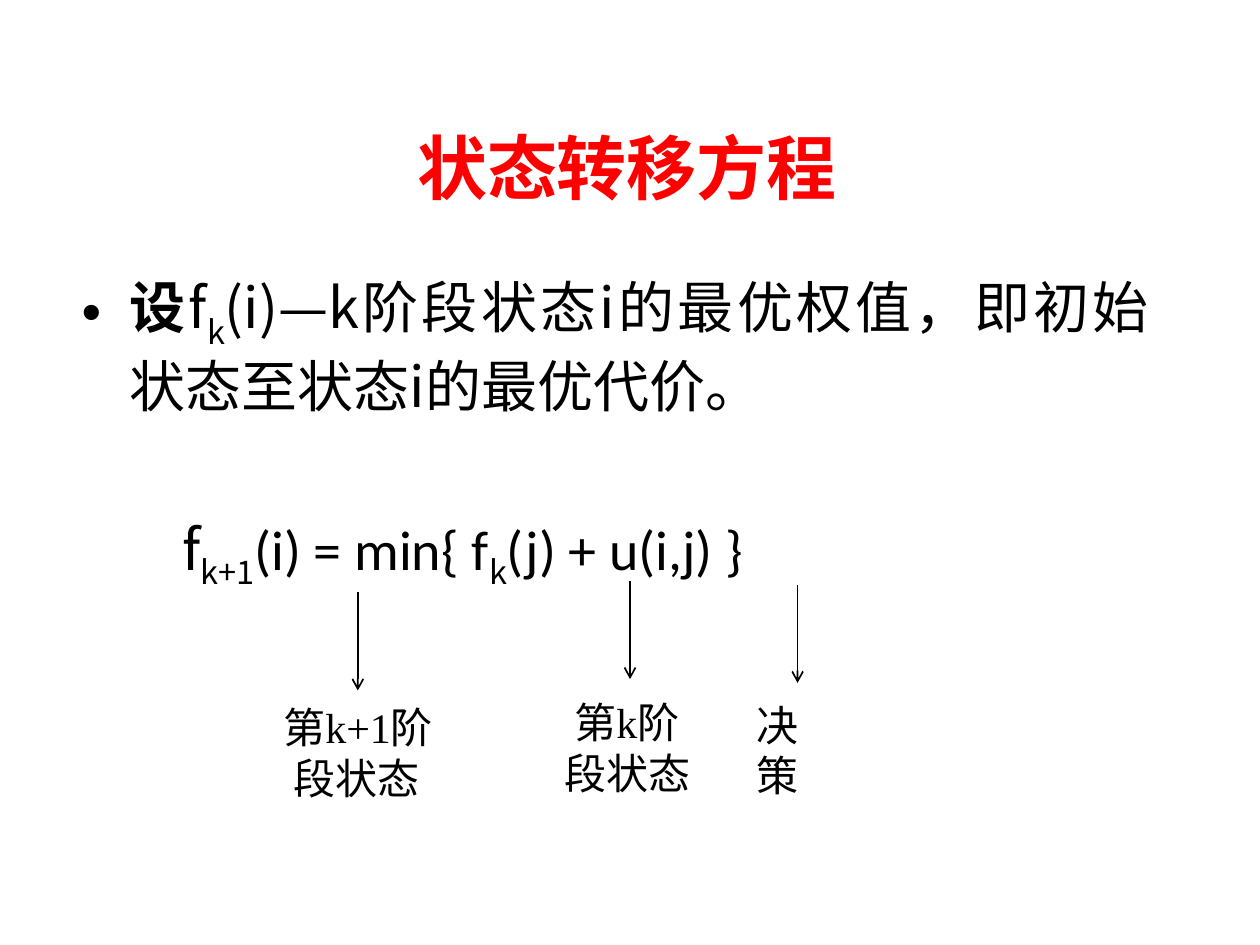
from lxml import etree
from pptx import Presentation
from pptx.dml.color import RGBColor
from pptx.enum.shapes import MSO_CONNECTOR
from pptx.enum.text import MSO_ANCHOR, PP_ALIGN
from pptx.oxml.ns import qn
from pptx.util import Inches, Pt

STRAIGHT = MSO_CONNECTOR.STRAIGHT
MIDDLE = MSO_ANCHOR.MIDDLE
LEFT, CENTER, JUSTIFY = PP_ALIGN.LEFT, PP_ALIGN.CENTER, PP_ALIGN.JUSTIFY
TITLE_ONLY = 5

COLORS = {"title": "FF0000", "ink": "000000"}
LATIN, CJK, SERIF = "Calibri", "Noto Sans CJK SC", "Times New Roman"


def write(paragraph, runs, size, font, color="ink", align=LEFT, before=0,
          margin=0, indent=0, bullet=None):
    """Fill a paragraph with runs of (text, overrides: font, bold, base)."""
    paragraph.alignment = align
    paragraph.space_before = Pt(before)
    props = paragraph._p.get_or_add_pPr()
    props.set("marL", str(Inches(margin)))
    props.set("indent", str(Inches(indent)))
    if bullet:
        etree.SubElement(props, qn("a:buFont")).set("typeface", "Arial")
        etree.SubElement(props, qn("a:buChar")).set("char", bullet)
    for text, look in runs:
        run = paragraph.add_run()
        run.text = text
        run.font.size = Pt(size)
        run.font.name = look.get("font", font)
        run.font.bold = look.get("bold", False)
        run.font.color.rgb = RGBColor.from_string(COLORS[color])
        if "base" in look:
            run.font._element.set("baseline", str(look["base"] * 1000))


def add_title(slide, left, top, width, height):
    title = slide.shapes.title
    title.left, title.top = Inches(left), Inches(top)
    title.width, title.height = Inches(width), Inches(height)
    title.text_frame.vertical_anchor = MIDDLE
    write(title.text_frame.paragraphs[0], [("状态转移方程", {"bold": True})],
          40, LATIN, color="title", align=CENTER)


def add_text_frame(slide, left, top, width, height, wrap=True):
    box = slide.shapes.add_textbox(Inches(left), Inches(top),
                                   Inches(width), Inches(height))
    box.text_frame.word_wrap = wrap
    return box.text_frame


def add_definition(slide, left, top, width, height):
    """The meaning of f, followed by the recurrence."""
    frame = add_text_frame(slide, left, top, width, height)
    write(frame.paragraphs[0],
          [("设", {"font": LATIN, "bold": True}), ("f", {}), ("k", {"base": -30}),
           ("(i)—k阶段状态i的最优权值，即初始状态至状态i的最优代价。", {})],
          32, CJK, align=JUSTIFY, before=8, margin=0.38, indent=-0.38, bullet="•")
    write(frame.add_paragraph(),
          [("f", {"font": CJK}), ("k+1", {"font": CJK, "base": -25}),
           ("(i) = min{ f", {}), ("k", {"font": CJK, "base": -25}),
           ("(j) + u(i,j) }", {})],
          32, LATIN, before=55, margin=0.8)


def add_callout(slide, left, top, width, height, lines, arrow_x, arrow_top, wrap):
    """A downward arrow with its label; lines are (text, indent)."""
    x = Inches(left + arrow_x)
    arrow = slide.shapes.add_connector(STRAIGHT, x, Inches(arrow_top),
                                       x, Inches(arrow_top + 0.78))
    arrow.line.color.rgb = RGBColor.from_string(COLORS["ink"])
    arrow.line.width = Pt(1)
    etree.SubElement(arrow.line._get_or_add_ln(), qn("a:tailEnd")).set("type", "arrow")
    etree.SubElement(arrow._element.spPr, qn("a:effectLst"))

    frame = add_text_frame(slide, left, top, width, height, wrap)
    for number, (text, indent) in enumerate(lines):
        paragraph = frame.add_paragraph() if number else frame.paragraphs[0]
        write(paragraph, [(text, {})], 24, SERIF, indent=indent)


def main():
    deck = Presentation()
    deck.slide_width, deck.slide_height = Inches(10), Inches(7.5)
    slide = deck.slides.add_slide(deck.slide_layouts[TITLE_ONLY])
    add_title(slide, 0.94, 0.7, 8.07, 1.25)
    add_definition(slide, 0.55, 2.11, 8.67, 4.22)
    add_callout(slide, 2.15, 5.52, 1.41, 1.3, [("第k+1阶", 0), ("段状态", 0.08)],
                arrow_x=0.69, arrow_top=4.7, wrap=True)
    add_callout(slide, 4.38, 5.48, 1.27, 0.9, [("第k阶", 0.08), ("段状态", 0)],
                arrow_x=0.62, arrow_top=4.61, wrap=False)
    add_callout(slide, 5.91, 5.5, 0.86, 0.5, [("决策", 0)],
                arrow_x=0.42, arrow_top=4.64, wrap=False)
    deck.save("out.pptx")


if __name__ == "__main__":
    main()
